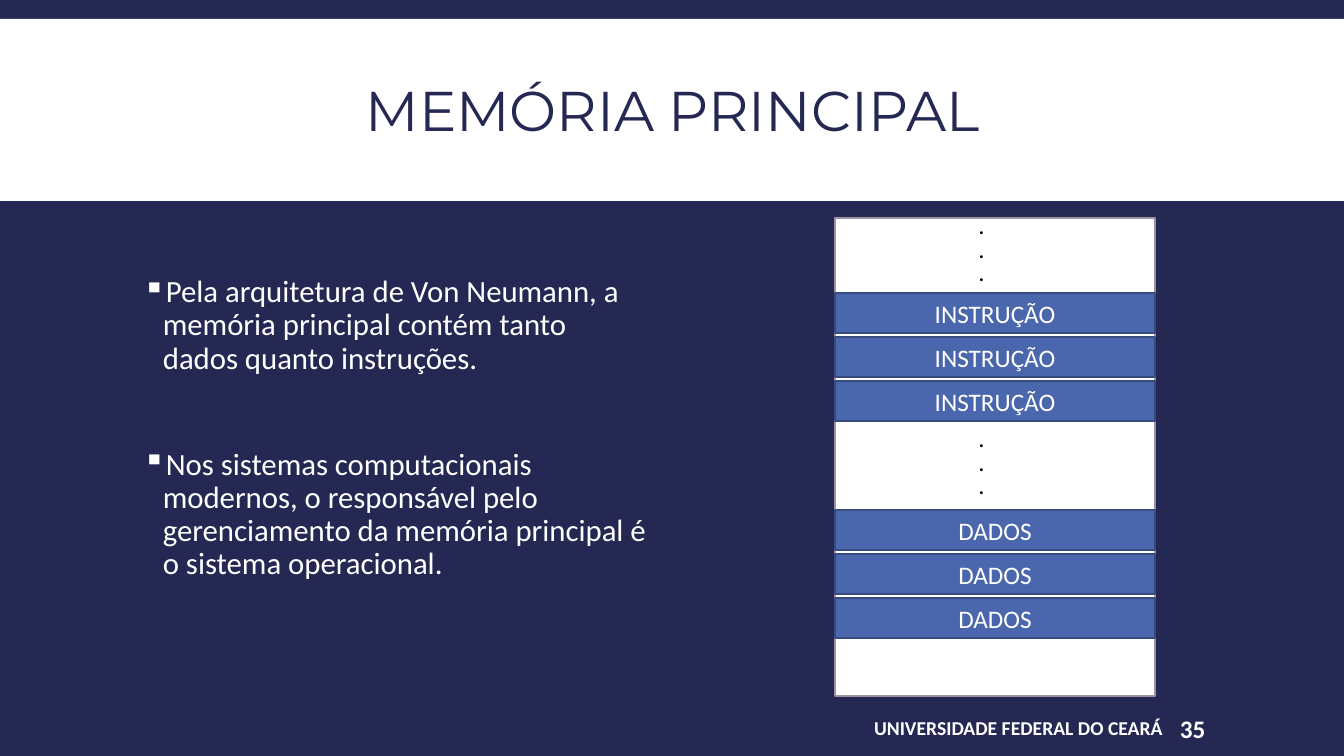
"""Build the main memory slide."""
from lxml import etree
from pptx import Presentation
from pptx import util as u
from pptx.dml.color import RGBColor
from pptx.enum import shapes, text
from pptx.oxml.ns import qn

PX = 914400 / 100.8
THEME = {
    "navy": "242852", "white": "FFFFFF", "black": "000000",
    "cell": "4A66AC", "edge": "374B7F", "frame": "9D90A0",
    "head": 40, "body": 22, "label": 18, "small": 14,
}
LEFT, MID, RIGHT = text.PP_ALIGN.LEFT, text.PP_ALIGN.CENTER, text.PP_ALIGN.RIGHT
TOP, CORE = text.MSO_ANCHOR.TOP, text.MSO_ANCHOR.MIDDLE


def block(box, fill=None, edge=None):
    """Add a rectangle, or a text box when there is no fill."""
    area = [u.Emu(round(n * PX)) for n in box]
    if not fill:
        return slide.shapes.add_textbox(*area)
    item = slide.shapes.add_shape(shapes.MSO_SHAPE.RECTANGLE, *area)
    item.shadow.inherit = False
    item.fill.solid()
    item.fill.fore_color.rgb = RGBColor.from_string(THEME[fill])
    if edge:
        item.line.color.rgb = RGBColor.from_string(THEME[edge])
        item.line.width = u.Pt(1)
    else:
        item.line.fill.background()
    return item


def write(item, lines, size, tone="white", face="Calibri", bold=False,
          align=LEFT, anchor=CORE, wrap=True, **fmt):
    """Fill a shape with one paragraph per line."""
    frame = item.text_frame
    frame.word_wrap = wrap
    frame.vertical_anchor = anchor
    frame.text = "\n".join(lines)
    for para in frame.paragraphs:
        para.alignment = align
        for key, val in fmt.items():
            setattr(para, key, val)
        look = {"size": u.Pt(THEME[size]), "name": face, "bold": bold}
        for run in para.runs:
            for key, val in look.items():
                setattr(run.font, key, val)
            run.font.color.rgb = RGBColor.from_string(THEME[tone])
    return frame


deck = Presentation()
deck.slide_width, deck.slide_height = round(1344 * PX), round(756 * PX)
slide = deck.slides.add_slide(deck.slide_layouts[6])
slide.background.fill.solid()
slide.background.fill.fore_color.rgb = RGBColor.from_string(THEME["navy"])

block((0, 19, 1344, 182), "white")
write(block((133, 31, 1079, 166)), ["MEMÓRIA PRINCIPAL"], "head", "navy",
      "Montserrat", align=MID, line_spacing=0.85)

points = [
    "Pela arquitetura de Von Neumann, a memória principal contém tanto "
    "dados quanto instruções.",
    "Nos sistemas computacionais modernos, o responsável pelo "
    "gerenciamento da memória principal é o sistema operacional.",
]
body = write(block((133, 218, 524, 468)), points, "body", anchor=TOP,
             line_spacing=0.9, space_after=u.Pt(2))
body.margin_top = round(58 * PX)
body.paragraphs[1].space_before = u.Pt(50)
for para in body.paragraphs:
    props = para._p.get_or_add_pPr()
    props.set("marL", str(round(20 * PX)))
    props.set("indent", str(round(-20 * PX)))
    tint = etree.SubElement(props, qn("a:buClr"))
    etree.SubElement(tint, qn("a:srgbClr"), val=THEME["white"])
    etree.SubElement(props, qn("a:buChar"), char="▪")

write(block((617, 708, 556, 40)), ["UNIVERSIDADE FEDERAL DO CEARÁ"], "small",
      bold=True, align=RIGHT)
page = write(block((1175, 708, 104, 40)), ["35"], "label", bold=True)
page.margin_left = round(5 * PX)

block((835, 218, 320, 478), "white", "frame")
for label, top in (("INSTRUÇÃO", 293), ("DADOS", 510)):
    for row in range(3):
        cell = block((835, top + 44 * row, 320, 40), "cell", "edge")
        write(cell, [label], "label", align=MID)
for top in (210, 423):
    write(block((969, top, 26, 82)), ["."] * 3, "small", "black", bold=True,
          anchor=TOP, wrap=False)

deck.save("out.pptx")
